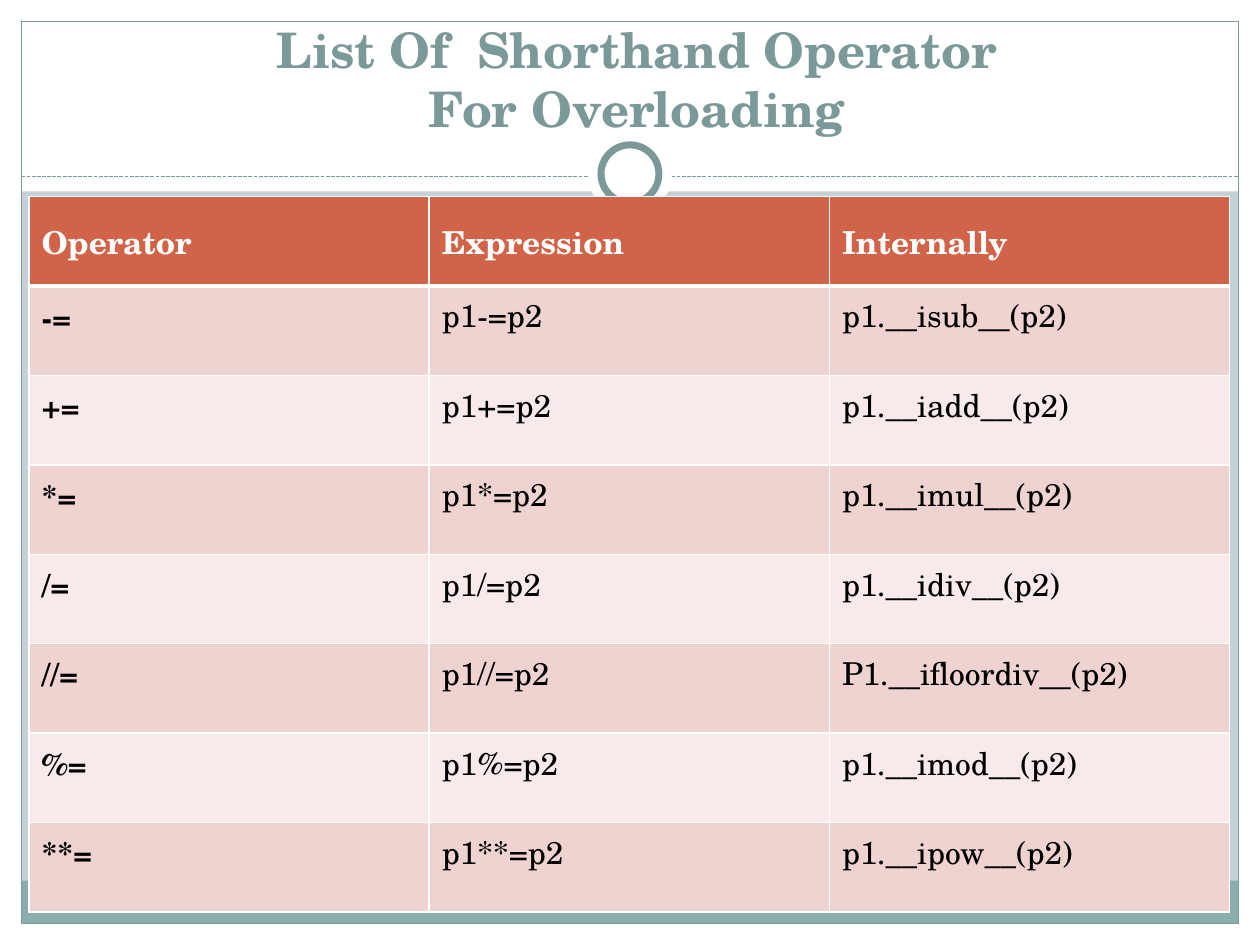
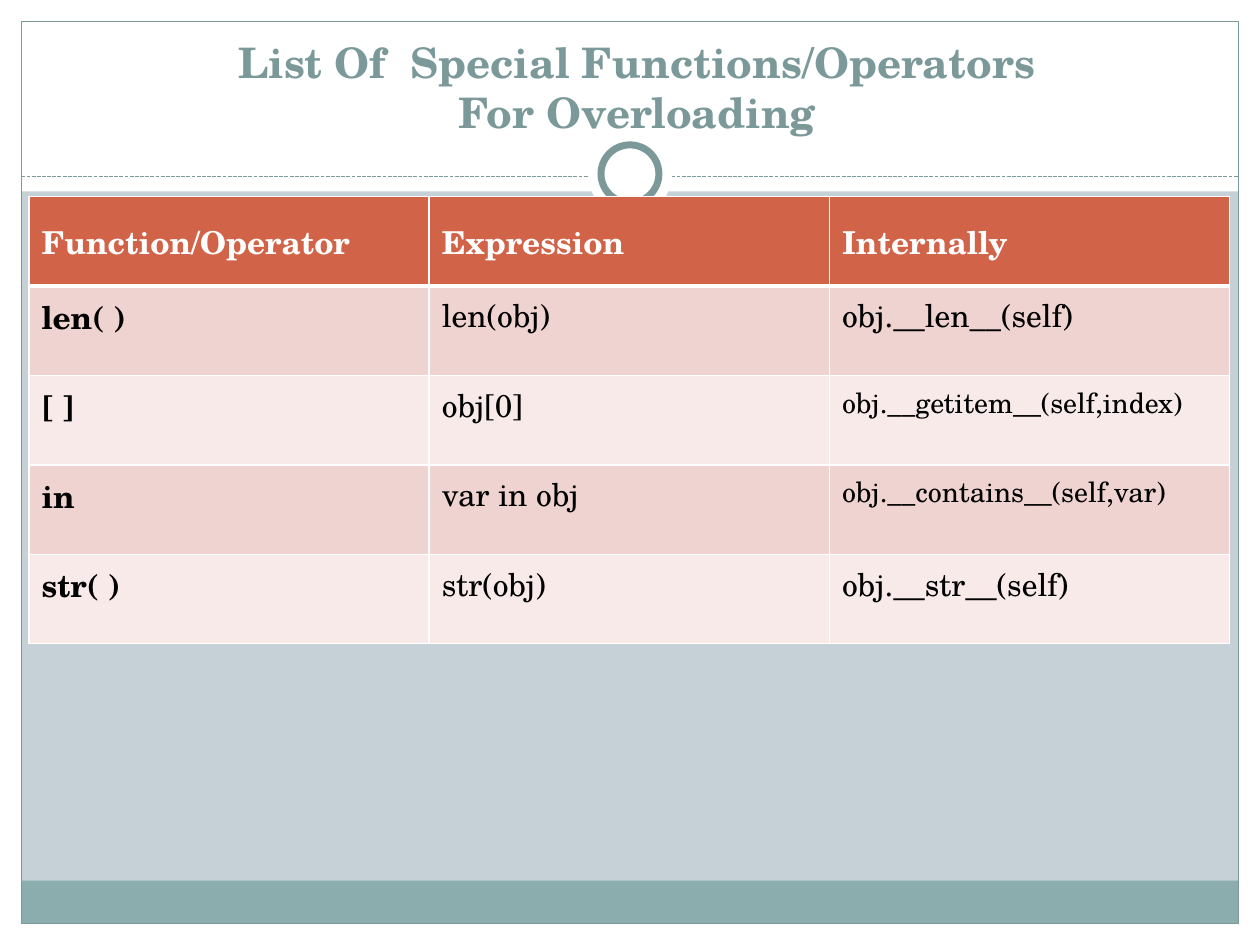
from dataclasses import dataclass

from lxml import etree
from pptx import Presentation
from pptx.dml.color import RGBColor
from pptx.enum.dml import MSO_LINE
from pptx.enum.shapes import MSO_CONNECTOR, MSO_SHAPE
from pptx.enum.text import MSO_ANCHOR, PP_ALIGN
from pptx.oxml.ns import qn
from pptx.util import Inches, Pt

RECT, OVAL = MSO_SHAPE.RECTANGLE, MSO_SHAPE.OVAL
STRAIGHT, DASH = MSO_CONNECTOR.STRAIGHT, MSO_LINE.SQUARE_DOT
BOTTOM, MIDDLE, CENTER = MSO_ANCHOR.BOTTOM, MSO_ANCHOR.MIDDLE, PP_ALIGN.CENTER


@dataclass(frozen=True)
class Theme:
    font: str = "TeX Gyre Schola"
    back: str = "C5D1D7"
    white: str = "FFFFFF"
    black: str = "000000"
    line: str = "7C999A"
    band: str = "8CADAE"
    head: str = "D16349"
    rows: tuple = ("EED3D0", "F7EAE9")
    text: int = 18
    small: int = 16
    thin: float = 0.75
    ring: int = 4


THEME = Theme()
WIDTH, HEIGHT = 10, 7.5
PAGE = (0, 0, WIDTH, HEIGHT)
EDGE = 0.17
TOP = 1.52        # height of the white title area
RULE = 1.4        # height of the dashed line
TITLE = (0.39, 0.31, 9.33, 0.83)
TABLE = (0.23, 1.56, 9.53)
ROW = 0.71
LONG = 20         # longer cell text takes the small size

SLIDES = [
    (("List Of  Shorthand Operator", "For Overloading"), 28, [
        ("Operator", "Expression", "Internally"),
        ("-=", "p1-=p2", "p1.__isub__(p2)"),
        ("+=", "p1+=p2", "p1.__iadd__(p2)"),
        ("*=", "p1*=p2", "p1.__imul__(p2)"),
        ("/=", "p1/=p2", "p1.__idiv__(p2)"),
        ("//=", "p1//=p2", "P1.__ifloordiv__(p2)"),
        ("%=", "p1%=p2", "p1.__imod__(p2)"),
        ("**=", "p1**=p2", "p1.__ipow__(p2)"),
    ]),
    (("List Of  Special Functions/Operators", "For Overloading"), 24, [
        ("Function/Operator", "Expression", "Internally"),
        ("len( )", "len(obj)", "obj.__len__(self)"),
        ("[ ]", "obj[0]", "obj.__getitem__(self,index)"),
        ("in", "var in obj", "obj.__contains__(self,var)"),
        ("str( )", "str(obj)", "obj.__str__(self)"),
    ]),
]


def rgb(color):
    return RGBColor.from_string(color)


def inches(box):
    return [Inches(side) for side in box]


def add_form(slide, kind, box, fill=None, line=None, weight=THEME.thin):
    form = slide.shapes.add_shape(kind, *inches(box))
    form.shadow.inherit = False
    if fill:
        form.fill.solid()
        form.fill.fore_color.rgb = rgb(fill)
    else:
        form.fill.background()
    if line:
        form.line.color.rgb = rgb(line)
        form.line.width = Pt(weight)
    else:
        form.line.fill.background()


def add_disc(slide, mid, size, **style):
    x, y = mid
    add_form(slide, OVAL, (x - size / 2, y - size / 2, size, size),
             fill=THEME.white, **style)


def add_frame(slide, box):
    """Draw the white margins, foot band, outline, dashed rule and ring."""
    x, y, w, h = box
    right, foot = x + w - EDGE, y + h - EDGE
    margins = [(x, foot, w, EDGE), (x, y, w, TOP),
               (x, y, EDGE, h), (right, y, EDGE, h)]
    for part in margins:
        add_form(slide, RECT, part, fill=THEME.white)
    inner = w - 2 * EDGE
    add_form(slide, RECT, (x + EDGE, foot - 2 * EDGE, inner, 2 * EDGE),
             fill=THEME.band)
    add_form(slide, RECT, (x + EDGE, y + EDGE, inner, h - 2 * EDGE),
             line=THEME.line)

    rule = slide.shapes.add_connector(
        STRAIGHT, *inches((x + EDGE, y + RULE, right, y + RULE)))
    rule.line.color.rgb = rgb(THEME.line)
    rule.line.width = Pt(THEME.thin)
    rule.line.dash_style = DASH
    etree.SubElement(rule.element.spPr, qn("a:effectLst"))

    mid = (x + w / 2, y + RULE - 0.02)
    add_disc(slide, mid, 0.67)
    add_disc(slide, mid, 0.46, line=THEME.line, weight=THEME.ring)


def set_font(para, size, color, bold):
    font = para.font
    font.name, font.size, font.bold = THEME.font, Pt(size), bold
    font.color.rgb = rgb(color)


def add_title(slide, box, lines, size):
    frame = slide.shapes.add_textbox(*inches(box)).text_frame
    frame.word_wrap = True
    frame.vertical_anchor = BOTTOM
    para = frame.paragraphs[0]
    para.text = "\v".join(lines)
    para.alignment = CENTER
    set_font(para, size, THEME.line, True)


def set_edges(cell, top, bottom):
    """Draw white cell borders; top and bottom are widths in points."""
    props = cell._tc.get_or_add_tcPr()
    for side, width in (("L", 1), ("R", 1), ("T", top), ("B", bottom)):
        edge = etree.SubElement(props, qn(f"a:ln{side}"), w=str(Pt(width)))
        fill = etree.SubElement(edge, qn("a:solidFill"))
        etree.SubElement(fill, qn("a:srgbClr"), val=THEME.white)


def fill_cell(cell, text, row, col):
    head = row == 0
    cell.text = text
    set_edges(cell, 3 if row == 1 else 1, 3 if head else 1)
    cell.fill.solid()
    cell.fill.fore_color.rgb = rgb(
        THEME.head if head else THEME.rows[(row - 1) % 2])
    if head:
        cell.vertical_anchor = MIDDLE
        cell.margin_left, cell.margin_top, cell.margin_right, \
            cell.margin_bottom = inches((0.1, 0.16, 0.08, 0.15))
    set_font(cell.text_frame.paragraphs[0],
             THEME.small if len(text) > LONG else THEME.text,
             THEME.white if head else THEME.black, head or col == 0)


def add_grid(slide, box, rows):
    x, y, w = box
    count = len(rows[0])
    grid = slide.shapes.add_table(
        len(rows), count, *inches((x, y, w, ROW * len(rows)))).table
    for col in grid.columns:
        col.width = Inches(w / count)
    for r, texts in enumerate(rows):
        grid.rows[r].height = Inches(ROW)
        for c, text in enumerate(texts):
            fill_cell(grid.cell(r, c), text, r, c)


def main():
    deck = Presentation()
    deck.slide_width, deck.slide_height = Inches(WIDTH), Inches(HEIGHT)
    blank = deck.slide_layouts[6]
    for lines, size, rows in SLIDES:
        slide = deck.slides.add_slide(blank)
        slide.background.fill.solid()
        slide.background.fill.fore_color.rgb = rgb(THEME.back)
        add_frame(slide, PAGE)
        add_title(slide, TITLE, lines, size)
        add_grid(slide, TABLE, rows)
    deck.save("out.pptx")


if __name__ == "__main__":
    main()
